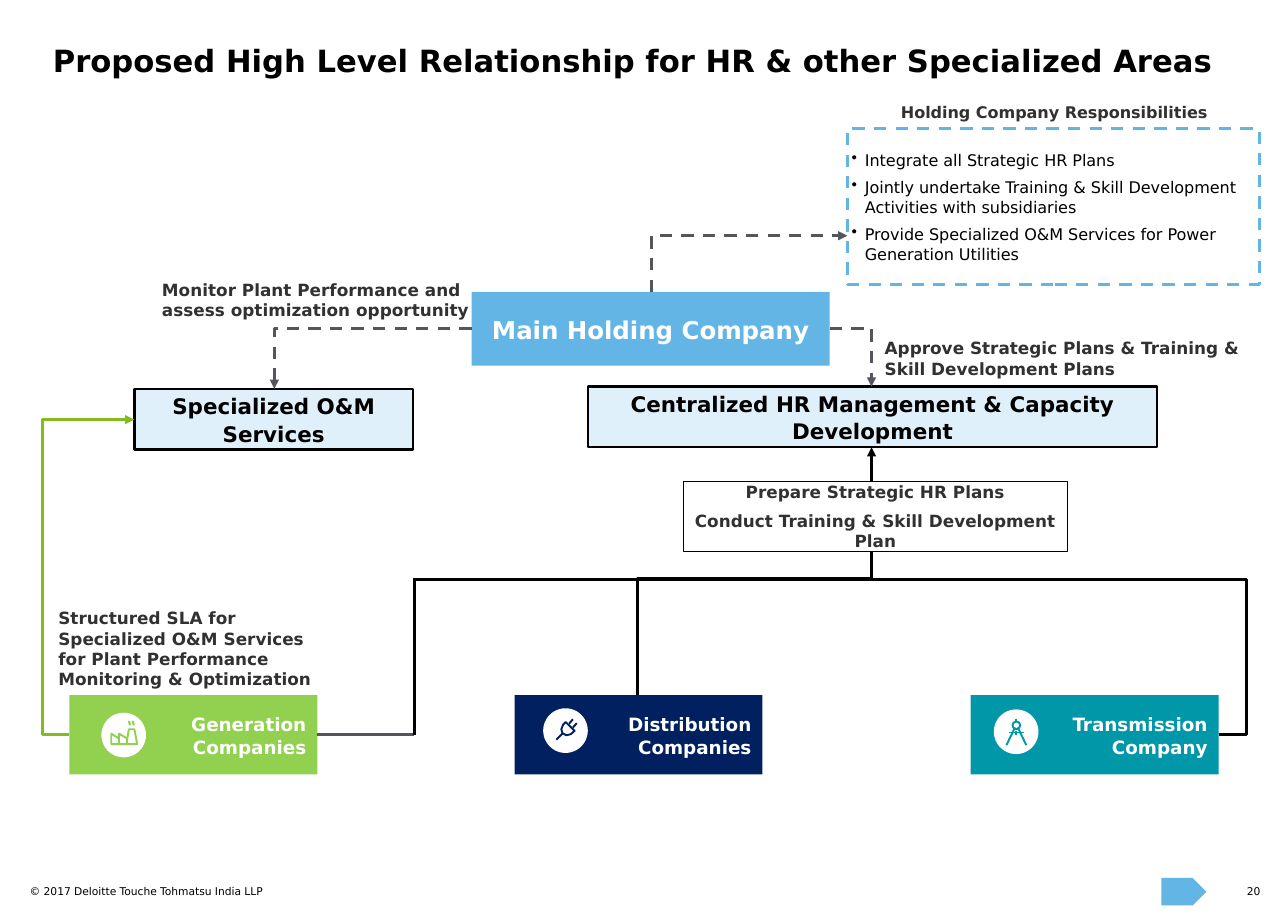
from lxml import etree
from pptx import Presentation
from pptx.dml.color import RGBColor
from pptx.enum.dml import MSO_LINE
from pptx.enum.shapes import MSO_CONNECTOR, MSO_SHAPE
from pptx.enum.text import MSO_ANCHOR, PP_ALIGN
from pptx.oxml.ns import qn
from pptx.util import Inches, Pt

CELL = Inches(0.1)  # the slide is a grid of 116.9 columns by 82.7 rows
FONT = "DejaVu Sans"
BLACK, WHITE, GREY, INK = "000000", "FFFFFF", "53565A", "313131"
SKY, PALE, LIME = "62B5E5", "E0F0FA", "84BC20"
LEFT, CENTER, RIGHT = PP_ALIGN.LEFT, PP_ALIGN.CENTER, PP_ALIGN.RIGHT

presentation = Presentation()
presentation.slide_width = round(116.9 * CELL)
presentation.slide_height = round(82.7 * CELL)
slide = presentation.slides.add_slide(presentation.slide_layouts[6])
shapes = slide.shapes


def add_box(cells, text="", *, preset=MSO_SHAPE.RECTANGLE, fill=None, line=None,
            weight=1.5, dash=None, size=11, color=INK, bold=True, align=LEFT,
            anchor=MSO_ANCHOR.TOP, inset=0, spacing=1, before=6, bullet=None):
    """Place text on the grid, inside a shape if it has a fill or a line."""
    frame = [round(cell * CELL) for cell in cells]
    if fill or line:
        shape = shapes.add_shape(preset, *frame)
        shape.shadow.inherit = False
        if fill:
            shape.fill.solid()
            shape.fill.fore_color.rgb = RGBColor.from_string(fill)
        else:
            shape.fill.background()
        if line:
            shape.line.color.rgb = RGBColor.from_string(line)
            shape.line.width = Pt(weight)
            shape.line.dash_style = dash
        else:
            shape.line.fill.background()
    else:
        shape = shapes.add_textbox(*frame)
    if not text:
        return shape
    text_frame = shape.text_frame
    text_frame.word_wrap = True
    text_frame.vertical_anchor = anchor
    text_frame.margin_left = text_frame.margin_right = round(inset * CELL)
    text_frame.margin_top = text_frame.margin_bottom = round(inset * CELL)
    text_frame.text = text
    for index, paragraph in enumerate(text_frame.paragraphs):
        paragraph.alignment = align
        paragraph.line_spacing = spacing
        paragraph.space_before = Pt(before if index else 0)
        if bullet:
            properties = paragraph._p.get_or_add_pPr()
            properties.set("marL", str(round(1.2 * CELL)))
            properties.set("indent", str(round(-1.2 * CELL)))
            etree.SubElement(properties, qn("a:buChar")).set("char", bullet)
        paragraph.font.name = FONT
        paragraph.font.size = Pt(size)
        paragraph.font.bold = bold
        paragraph.font.color.rgb = RGBColor.from_string(color)
    return shape


def add_link(begin, end, color, *, preset="line", bend=None, upright=False,
             dash=None, arrow=False):
    """Draw a connector; an upright one leaves its begin point vertically."""
    (x1, y1), (x2, y2) = begin, end
    if upright:
        middle_x, middle_y = (x1 + x2) / 2, (y1 + y2) / 2
        half_x, half_y = (y2 - y1) / 2, (x1 - x2) / 2
        x1, x2 = middle_x - half_x, middle_x + half_x
        y1, y2 = middle_y - half_y, middle_y + half_y
    kind = MSO_CONNECTOR.STRAIGHT if preset == "line" else MSO_CONNECTOR.ELBOW
    connector = shapes.add_connector(kind, *[round(v * CELL) for v in (x1, y1, x2, y2)])
    connector.line.color.rgb = RGBColor.from_string(color)
    connector.line.width = Pt(2)
    connector.line.dash_style = dash
    properties = connector._element.spPr
    if upright:
        properties.find(qn("a:xfrm")).set("rot", "5400000")
    geometry = properties.find(qn("a:prstGeom"))
    geometry.set("prst", preset)
    if bend is not None:
        guide = etree.SubElement(geometry.find(qn("a:avLst")), qn("a:gd"))
        guide.set("name", "adj1")
        guide.set("fmla", f"val {round(bend * 100000)}")
    if arrow:
        etree.SubElement(properties.find(qn("a:ln")), qn("a:tailEnd")).set("type", "triangle")
    etree.SubElement(properties, qn("a:effectLst"))
    return connector


# Title and footer
add_box((4.8, 3.8, 107, 7.1),
        "Proposed High Level Relationship for HR & other Specialized Areas",
        size=20, color=BLACK, align=PP_ALIGN.JUSTIFY)
footer = dict(size=7, color=BLACK, bold=False)
add_box((2.7, 80.3, 51.3, 2.4), "© 2017 Deloitte Touche Tohmatsu India LLP", **footer)
add_box((111.4, 80.3, 3, 1.2), "20", align=RIGHT, **footer)
add_box((105.4, 79.7, 4.1, 2.5), preset=MSO_SHAPE.PENTAGON, fill=SKY)

# Holding company and its responsibilities
block = dict(anchor=MSO_ANCHOR.MIDDLE, inset=1, spacing=1.06)
add_box((42.8, 26.5, 32.5, 6.7), "Main Holding Company", fill=SKY, size=16,
        color=WHITE, align=CENTER, **block)
add_box((76.9, 11.7, 37.4, 14.1),
        "Integrate all Strategic HR Plans\n"
        "Jointly undertake Training & Skill Development Activities with subsidiaries\n"
        "Provide Specialized O&M Services for Power Generation Utilities",
        line=SKY, weight=2, dash=MSO_LINE.DASH, size=10.5, color=BLACK, bold=False,
        anchor=MSO_ANCHOR.MIDDLE, inset=0.4, spacing=1.06, before=4, bullet="•")
add_box((79.5, 9.3, 32.4, 1.8), "Holding Company Responsibilities", size=10.5, align=CENTER)

# Companies, each with an icon of strokes in thousandths of an inch
factory = [
    [(90, 285), (90, 190), (160, 235), (160, 190), (235, 235), (250, 150),
     (300, 150), (325, 285), (90, 285)],
    [(160, 235), (160, 285)], [(235, 235), (230, 285)],
    *[[(x, 75), (x - 5, 90), (x + 5, 100), (x, 115)] for x in (255, 290)],
]
plug = [
    [(205, 125), (285, 205), (250, 235), (210, 245), (175, 225), (165, 190),
     (180, 150), (205, 125)],
    [(120, 285), (175, 230)], [(235, 140), (270, 100)], [(270, 175), (305, 135)],
]
compass = [
    [(205, 110), (230, 120), (240, 145), (230, 170), (205, 180), (180, 170),
     (170, 145), (180, 120), (205, 110)],
    [(205, 85), (205, 110)], [(192, 165), (115, 325)], [(218, 165), (295, 325)],
    [(140, 210), (275, 210)], [(205, 195), (205, 235)],
]
companies = [
    ("Generation Companies", 6.3, "92D050", factory, 9.2, 64.7),
    ("Distribution Companies", 46.7, "002060", plug, 49.3, 64.3),
    ("Transmission Company", 88.1, "0097A9", compass, 90.2, 64.4),
]
company_boxes = []
for name, column, color, strokes, icon_column, icon_row in companies:
    company_boxes.append(add_box((column, 63.1, 22.5, 7.2), name, fill=color, size=12,
                                 color=WHITE, align=RIGHT, **block))
    add_box((icon_column, icon_row, 4.05, 4.05), preset=MSO_SHAPE.OVAL, fill=WHITE)
    for start, *points in strokes:
        builder = shapes.build_freeform(*start, scale=Inches(1) / 1000)
        builder.add_line_segments(points, close=False)
        stroke = builder.convert_to_shape(round(icon_column * CELL), round(icon_row * CELL))
        stroke.shadow.inherit = False
        stroke.fill.background()
        stroke.line.color.rgb = RGBColor.from_string(color)
        stroke.line.width = Pt(1.25)

# Service units
for name, cells in [
    ("Specialized O&M Services", (12.2, 35.3, 25.3, 5.5)),
    ("Centralized HR Management & Capacity Development", (53.4, 35.1, 51.6, 5.5)),
]:
    add_box(cells, name, fill=PALE, line=BLACK, size=14, color=BLACK, align=CENTER, **block)

# Links from the holding company
guidance = dict(preset="bentConnector2", dash=MSO_LINE.DASH, arrow=True)
add_link((59.1, 26.5), (76.9, 21.4), GREY, upright=True, **guidance)
add_link((42.8, 29.8), (24.9, 35.3), GREY, **guidance)
add_link((75.3, 29.8), (79.1, 35.1), GREY, **guidance)

# Links from the companies
add_link((6.3, 66.7), (12.2, 38.1), LIME, preset="bentConnector3", bend=-0.42, arrow=True)
add_link((57.9, 63.1), (79.1, 40.6), BLACK, preset="bentConnector3", bend=0.47,
         upright=True, arrow=True)
add_link((28.8, 66.7), (37.6, 66.7), GREY).begin_connect(company_boxes[0], 3)
add_link((37.6, 66.7), (37.6, 52.5), BLACK)
add_link((37.6, 52.6), (79.1, 52.6), BLACK)
add_link((110.6, 66.7), (79.1, 52.6), BLACK, preset="bentConnector3", bend=-0.08)

# Labels on the links
for text, cells in [
    ("Approve Strategic Plans & Training & Skill Development Plans", (80.3, 30.7, 34, 3.7)),
    ("Monitor Plant Performance and assess optimization opportunity", (14.7, 25.4, 28.1, 3.7)),
    ("Structured SLA for Specialized O&M Services for Plant Performance "
     "Monitoring & Optimization", (5.3, 55.2, 24.4, 7.4)),
]:
    add_box(cells, text)
add_box((62, 43.7, 34.9, 6.4),
        "Prepare Strategic HR Plans\nConduct Training & Skill Development Plan",
        fill=WHITE, line=BLACK, weight=0.75, align=CENTER)

presentation.save("out.pptx")
